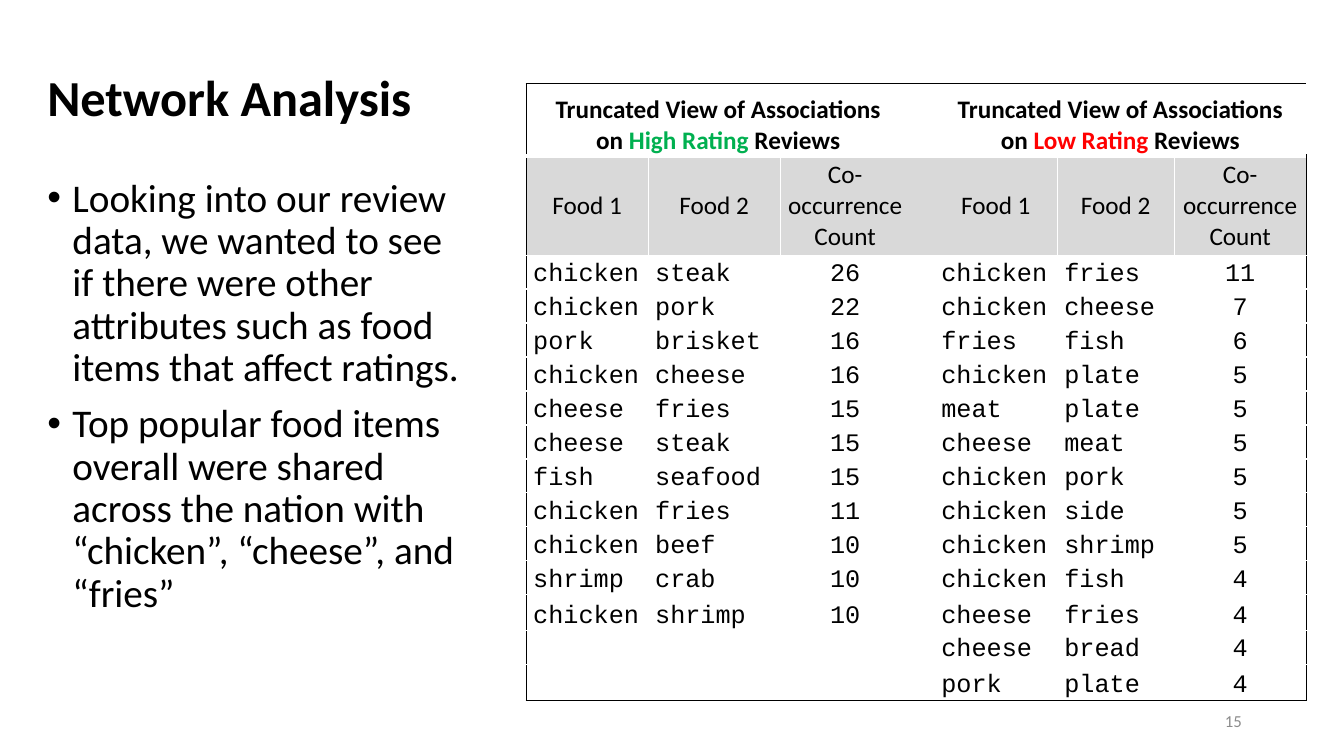
import pptx
import pptx.dml.color
import pptx.enum.text
import pptx.oxml.ns
import pptx.util
from lxml import etree

WIDTH, HEIGHT = pptx.util.Inches(13.333), pptx.util.Inches(7.5)
ALIGN = pptx.enum.text.PP_ALIGN
ANCHOR = pptx.enum.text.MSO_ANCHOR
BLACK, WHITE, GREY = "000000", "FFFFFF", "D9D9D9"

POINTS = [
    "Looking into our review data, we wanted to see if there were other "
    "attributes such as food items that affect ratings.",
    "Top popular food items overall were shared across the nation with "
    "“chicken”, “cheese”, and “fries”",
]
HEADINGS = ["Food 1", "Food 2", "Co-occurrence Count"]
HIGH_TITLE = [
    [("Truncated View of Associations", BLACK)],
    [("on ", BLACK), ("High Rating", "00B050"), (" Reviews", BLACK)],
]
LOW_TITLE = [
    [("Truncated View of Associations on ", BLACK), ("Low Rating", "FF0000"), (" Reviews", BLACK)],
]
HIGH_PAIRS = [
    ("chicken", "steak", 26), ("chicken", "pork", 22), ("pork", "brisket", 16),
    ("chicken", "cheese", 16), ("cheese", "fries", 15), ("cheese", "steak", 15),
    ("fish", "seafood", 15), ("chicken", "fries", 11), ("chicken", "beef", 10),
    ("shrimp", "crab", 10), ("chicken", "shrimp", 10),
]
LOW_PAIRS = [
    ("chicken", "fries", 11), ("chicken", "cheese", 7), ("fries", "fish", 6),
    ("chicken", "plate", 5), ("meat", "plate", 5), ("cheese", "meat", 5),
    ("chicken", "pork", 5), ("chicken", "side", 5), ("chicken", "shrimp", 5),
    ("chicken", "fish", 4), ("cheese", "fries", 4), ("cheese", "bread", 4),
    ("pork", "plate", 4),
]
COLUMN_SHARES = [1.21, 1.31, 1.29, 0.24, 1.22, 1.16, 1.31]
ROW_SHARES = [7.2, 9.8] + [3.37] * 10 + [3.55, 3.37, 3.55]
GAP = 3
LOW_START = GAP + 1


def color(value):
    return pptx.dml.color.RGBColor.from_string(value)


def percent_box(left, top, width, height):
    return [int(side * share / 100) for side, share in
            zip((WIDTH, HEIGHT, WIDTH, HEIGHT), (left, top, width, height))]


def style(para, size, shade=BLACK, name="Calibri", bold=False, align=ALIGN.LEFT):
    para.alignment = align
    font = para.font
    font.size, font.name, font.bold = pptx.util.Pt(size), name, bold
    font.color.rgb = color(shade)


def add_text_frame(page, box, anchor):
    frame = page.shapes.add_textbox(*box).text_frame
    frame.word_wrap = True
    frame.vertical_anchor = anchor
    return frame


def add_title(page, box):
    para = add_text_frame(page, box, ANCHOR.MIDDLE).paragraphs[0]
    para.text = "Network Analysis"
    para.line_spacing = 0.9
    style(para, 36, bold=True)


def add_points(page, box):
    frame = add_text_frame(page, box, ANCHOR.TOP)
    for index, point in enumerate(POINTS):
        para = frame.add_paragraph() if index else frame.paragraphs[0]
        para.text = point
        para.line_spacing = 0.9
        if index:
            para.space_before = pptx.util.Pt(10)
        settings = para._p.get_or_add_pPr()
        indent = pptx.util.Inches(0.25)
        settings.set("marL", str(indent))
        settings.set("indent", str(-indent))
        bullet_font = etree.SubElement(settings, pptx.oxml.ns.qn("a:buFont"))
        bullet_font.set("typeface", "Arial")
        etree.SubElement(settings, pptx.oxml.ns.qn("a:buChar")).set("char", "•")
        style(para, 28)


def add_page_number(page, box):
    para = add_text_frame(page, box, ANCHOR.MIDDLE).paragraphs[0]
    para.text = "15"
    style(para, 12, "8C8C8C", align=ALIGN.RIGHT)


def add_border(cell, side, shade, points=1):
    line = etree.SubElement(cell._tc.get_or_add_tcPr(), pptx.oxml.ns.qn(f"a:ln{side}"))
    line.set("w", str(pptx.util.Pt(points)))
    if shade is None:
        etree.SubElement(line, pptx.oxml.ns.qn("a:noFill"))
    else:
        fill = etree.SubElement(line, pptx.oxml.ns.qn("a:solidFill"))
        etree.SubElement(fill, pptx.oxml.ns.qn("a:srgbClr")).set("val", shade)


def format_cell(cell, row, column):
    last_row, last_column = len(ROW_SHARES) - 1, len(COLUMN_SHARES) - 1
    left_inner = None if row == 0 or column in (GAP, LOW_START) else WHITE
    right_inner = None if row == 0 or column in (GAP - 1, GAP) else WHITE
    add_border(cell, "L", BLACK if column == 0 else left_inner)
    add_border(cell, "R", BLACK if column == last_column else right_inner)
    add_border(cell, "T", BLACK if row == 0 else WHITE, 3 if row == 1 else 1)
    add_border(cell, "B", BLACK if row == last_row else WHITE, 3 if row == 0 else 1)
    if row == 0:
        cell.fill.background()
    else:
        cell.fill.solid()
        cell.fill.fore_color.rgb = color(GREY if row == 1 else WHITE)
    cell.margin_left = cell.margin_right = pptx.util.Inches(0.07)
    cell.margin_top = cell.margin_bottom = 0
    cell.vertical_anchor = ANCHOR.MIDDLE if row == 1 else ANCHOR.BOTTOM


def fill_half(table, start, title, pairs):
    heading = table.cell(0, start)
    heading.merge(table.cell(0, start + len(HEADINGS) - 1))
    for index, pieces in enumerate(title):
        frame = heading.text_frame
        para = frame.add_paragraph() if index else frame.paragraphs[0]
        for text, shade in pieces:
            span = para.add_run()
            span.text = text
            span.font.color.rgb = color(shade)
        style(para, 18, bold=True, align=ALIGN.CENTER)
    for row, values in enumerate([HEADINGS, *pairs], 1):
        for offset, value in enumerate(values):
            para = table.cell(row, start + offset).text_frame.paragraphs[0]
            para.text = str(value)
            centred = row == 1 or offset == 2
            style(para, 18, name="Calibri" if row == 1 else "Courier New",
                  align=ALIGN.CENTER if centred else ALIGN.LEFT)


def add_associations(page, box):
    table = page.shapes.add_table(len(ROW_SHARES), len(COLUMN_SHARES), *box).table
    table.first_row = table.horz_banding = False
    for column, share in zip(table.columns, COLUMN_SHARES):
        column.width = int(box[2] * share / sum(COLUMN_SHARES))
    for row, share in zip(table.rows, ROW_SHARES):
        row.height = int(box[3] * share / sum(ROW_SHARES))
    for row in range(len(ROW_SHARES)):
        for column in range(len(COLUMN_SHARES)):
            format_cell(table.cell(row, column), row, column)
    fill_half(table, 0, HIGH_TITLE, HIGH_PAIRS)
    fill_half(table, LOW_START, LOW_TITLE, LOW_PAIRS)


def main():
    deck = pptx.Presentation()
    deck.slide_width, deck.slide_height = WIDTH, HEIGHT
    page = deck.slides.add_slide(deck.slide_layouts[6])
    add_title(page, percent_box(2.78, 3.6, 86.25, 19.33))
    add_points(page, percent_box(2.78, 22.93, 32.33, 63.47))
    add_page_number(page, percent_box(70.65, 92.67, 22.5, 5.33))
    add_associations(page, percent_box(39.15, 11.07, 58.05, 81.6))
    deck.save("out.pptx")


if __name__ == "__main__":
    main()
